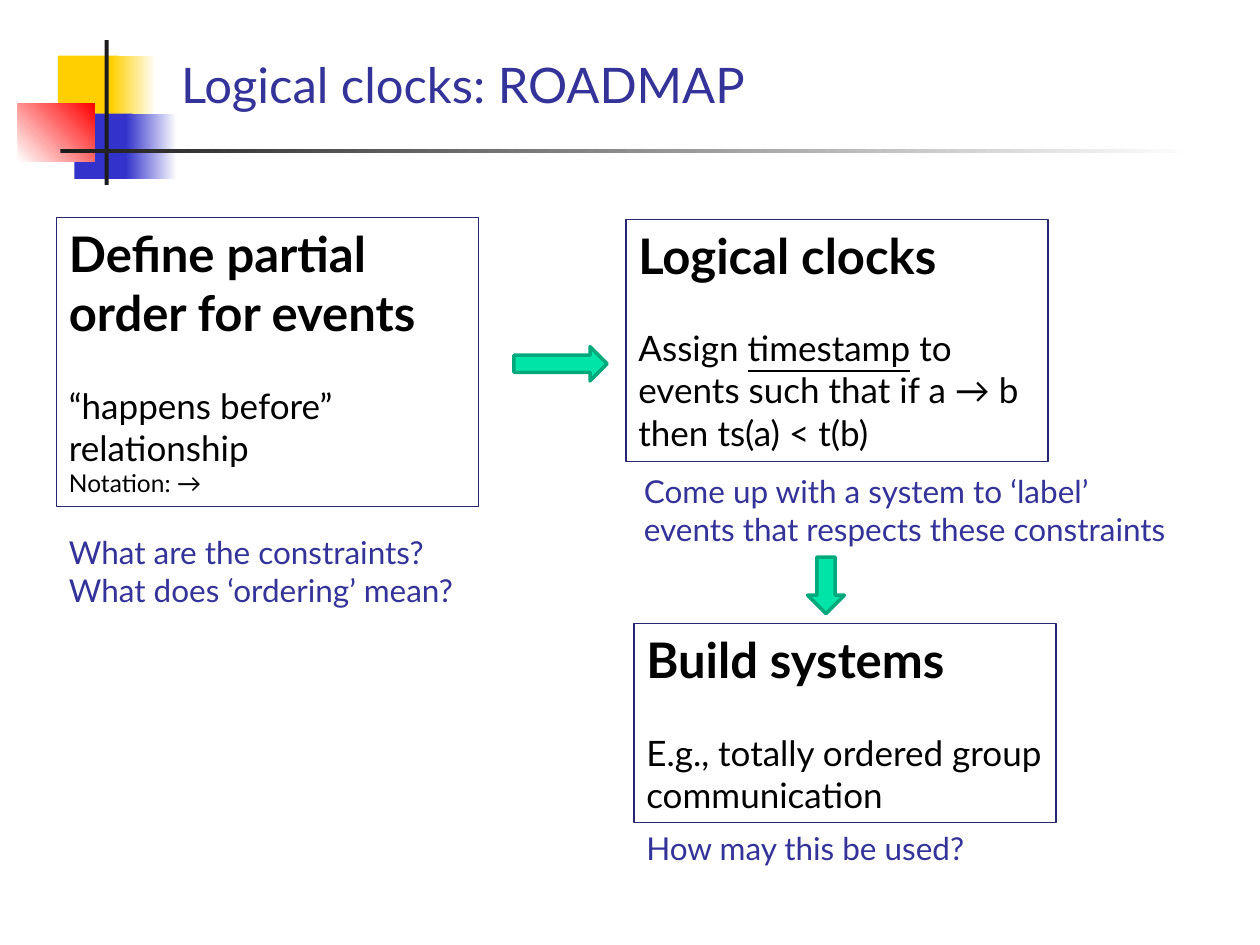
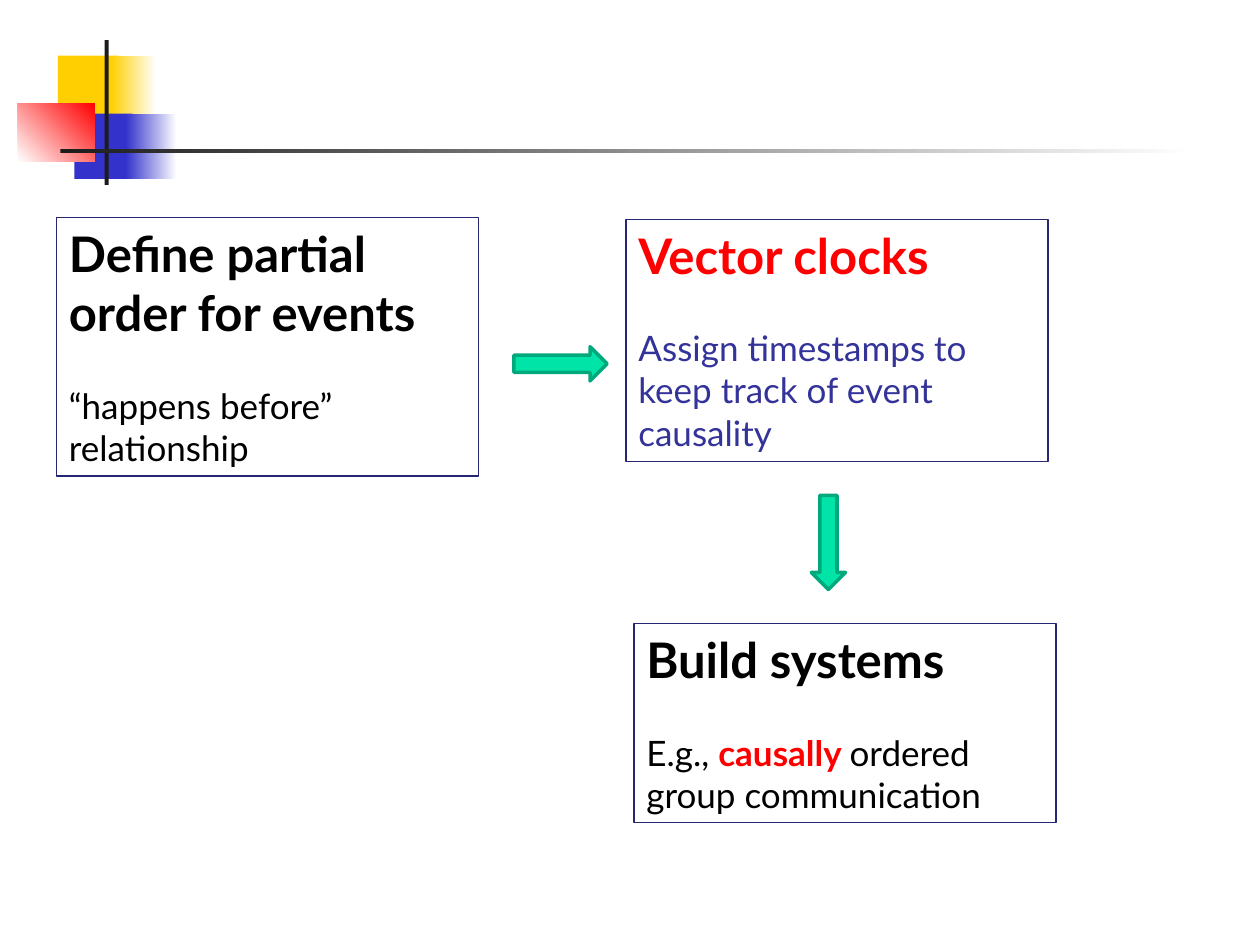
"""Build two roadmap slides on logical clocks and vector clocks."""
import pptx
import pptx.dml.color
import pptx.enum.shapes
import pptx.enum.text
import pptx.util

Cm = pptx.util.Cm
Pt = pptx.util.Pt
RGBColor = pptx.dml.color.RGBColor
SHAPES = pptx.enum.shapes.MSO_SHAPE

WHITE = RGBColor(0xFF, 0xFF, 0xFF)
BLACK = RGBColor(0x00, 0x00, 0x00)
RED = RGBColor(0xFF, 0x00, 0x00)
YELLOW = RGBColor(0xFF, 0xCF, 0x01)
BLUE = RGBColor(0x33, 0x33, 0xCC)
CHARCOAL = RGBColor(0x1C, 0x1C, 0x1C)
INDIGO = RGBColor(0x33, 0x33, 0x99)
BORDER = RGBColor(0x26, 0x26, 0x73)
GREEN = RGBColor(0x00, 0xE4, 0xA8)
DARK_GREEN = RGBColor(0x00, 0xA9, 0x7C)

FONT = "Lato"
HEADING_SIZE, BODY_SIZE, NOTE_SIZE, SMALL_SIZE = 28, 20, 18, 14
BODY_GAP = 24.4

DECORATIONS = [
    (1.17, 1.12, 1.22, 1.32, [YELLOW], 0),
    (2.24, 1.12, 0.91, 1.32, [YELLOW, WHITE], 0),
    (1.5, 2.29, 1.17, 1.32, [BLUE], 0),
    (2.54, 2.29, 1.02, 1.32, [BLUE, WHITE], 0),
    (0.36, 2.08, 1.55, 1.17, [WHITE, RED], 45),
    (2.11, 0.81, 0.08, 2.92, [CHARCOAL], 0),
    (1.22, 3, 22.86, 0.08, [CHARCOAL, WHITE], 0),
]

PANEL_WIDTH = 8.51
ORDER_PANEL = (1.14, 4.39)
CLOCK_PANEL = (12.62, 4.42, 4.88)
SYSTEM_PANEL = (12.78, 12.57, 4.01)
RIGHT_ARROW = (10.36, 6.99, 1.88, 0.69, 0)

ORDER_HEADING = ("Define partial order for events", BLACK)
ORDER_BODY = (BODY_SIZE, [("“happens before” relationship", BLACK, "")])
SYSTEM_HEADING = ("Build systems", BLACK)

SLIDES = [
    {
        "panels": [
            ((*ORDER_PANEL, 5.82), ORDER_HEADING,
             [ORDER_BODY, (SMALL_SIZE, [("Notation: →", BLACK, "")])]),
            (CLOCK_PANEL, ("Logical clocks", BLACK),
             [(BODY_SIZE, [("Assign ", BLACK, ""), ("timestamp", BLACK, "underline"),
                           (" to events such that if a → b then ts(a) < t(b)", BLACK, "")])]),
            (SYSTEM_PANEL, SYSTEM_HEADING,
             [(BODY_SIZE, [("E.g., totally ordered group communication", BLACK, "")])]),
        ],
        "arrows": [RIGHT_ARROW, (16.08, 11.43, 1.14, 0.74, 90)],
        "labels": [
            ((3.4, 0.97, 21.64, 1.78), HEADING_SIZE, ["Logical clocks: ROADMAP"]),
            ((1.14, 10.62, 8.43, 1.8), NOTE_SIZE,
             ["What are the constraints?", "What does ‘ordering’ mean?"]),
            ((12.73, 9.4, 11.4, 1.8), NOTE_SIZE,
             ["Come up with a system to ‘label’ events that respects these constraints"]),
            ((12.78, 16.59, 11.4, 1.02), NOTE_SIZE, ["How may this be used?"]),
        ],
    },
    {
        "panels": [
            ((*ORDER_PANEL, 5.21), ORDER_HEADING, [ORDER_BODY]),
            (CLOCK_PANEL, ("Vector clocks", RED),
             [(BODY_SIZE, [("Assign timestamps to keep track of event causality", INDIGO, "")])]),
            (SYSTEM_PANEL, SYSTEM_HEADING,
             [(BODY_SIZE, [("E.g., ", BLACK, ""), ("causally ", RED, "bold"),
                           ("ordered group communication", BLACK, "")])]),
        ],
        "arrows": [RIGHT_ARROW, (15.75, 10.59, 1.9, 0.69, 90)],
        "labels": [],
    },
]


def add_plain_shape(slide, kind, left, top, width, height):
    shape = slide.shapes.add_shape(kind, Cm(left), Cm(top), Cm(width), Cm(height))
    shape.shadow.inherit = False
    return shape


def write_text(shape, paragraphs):
    frame = shape.text_frame
    frame.word_wrap = True
    frame.vertical_anchor = pptx.enum.text.MSO_ANCHOR.TOP
    for index, (size, runs) in enumerate(paragraphs):
        paragraph = frame.add_paragraph() if index else frame.paragraphs[0]
        paragraph.alignment = pptx.enum.text.PP_ALIGN.LEFT
        for text, color, style in runs:
            run = paragraph.add_run()
            run.text = text
            run.font.name = FONT
            run.font.size = Pt(size)
            run.font.color.rgb = color
            run.font.bold = style == "bold"
            run.font.underline = style == "underline"


presentation = pptx.Presentation()
presentation.slide_width = Cm(25.4)
presentation.slide_height = Cm(19.05)

for content in SLIDES:
    slide = presentation.slides.add_slide(presentation.slide_layouts[6])

    for left, top, width, height, colors, angle in DECORATIONS:
        block = add_plain_shape(slide, SHAPES.RECTANGLE, left, top, width, height)
        block.line.fill.background()
        if len(colors) == 1:
            block.fill.solid()
            block.fill.fore_color.rgb = colors[0]
        else:
            block.fill.gradient()
            block.fill.gradient_angle = angle
            for stop, color in zip(block.fill.gradient_stops, colors):
                stop.color.rgb = color

    for (left, top, height), (heading, heading_color), body in content["panels"]:
        panel = add_plain_shape(slide, SHAPES.RECTANGLE, left, top, PANEL_WIDTH, height)
        panel.fill.background()
        panel.line.color.rgb = BORDER
        panel.line.width = Pt(0.75)
        write_text(panel, [(HEADING_SIZE, [(heading, heading_color, "bold")]), *body])
        panel.text_frame.paragraphs[1].space_before = Pt(BODY_GAP)

    for left, top, width, height, rotation in content["arrows"]:
        arrow = add_plain_shape(slide, SHAPES.RIGHT_ARROW, left, top, width, height)
        arrow.rotation = rotation
        arrow.fill.solid()
        arrow.fill.fore_color.rgb = GREEN
        arrow.line.color.rgb = DARK_GREEN
        arrow.line.width = Pt(2)

    for box, size, lines in content["labels"]:
        label = slide.shapes.add_textbox(*map(Cm, box))
        write_text(label, [(size, [(line, INDIGO, "")]) for line in lines])

presentation.save("out.pptx")
